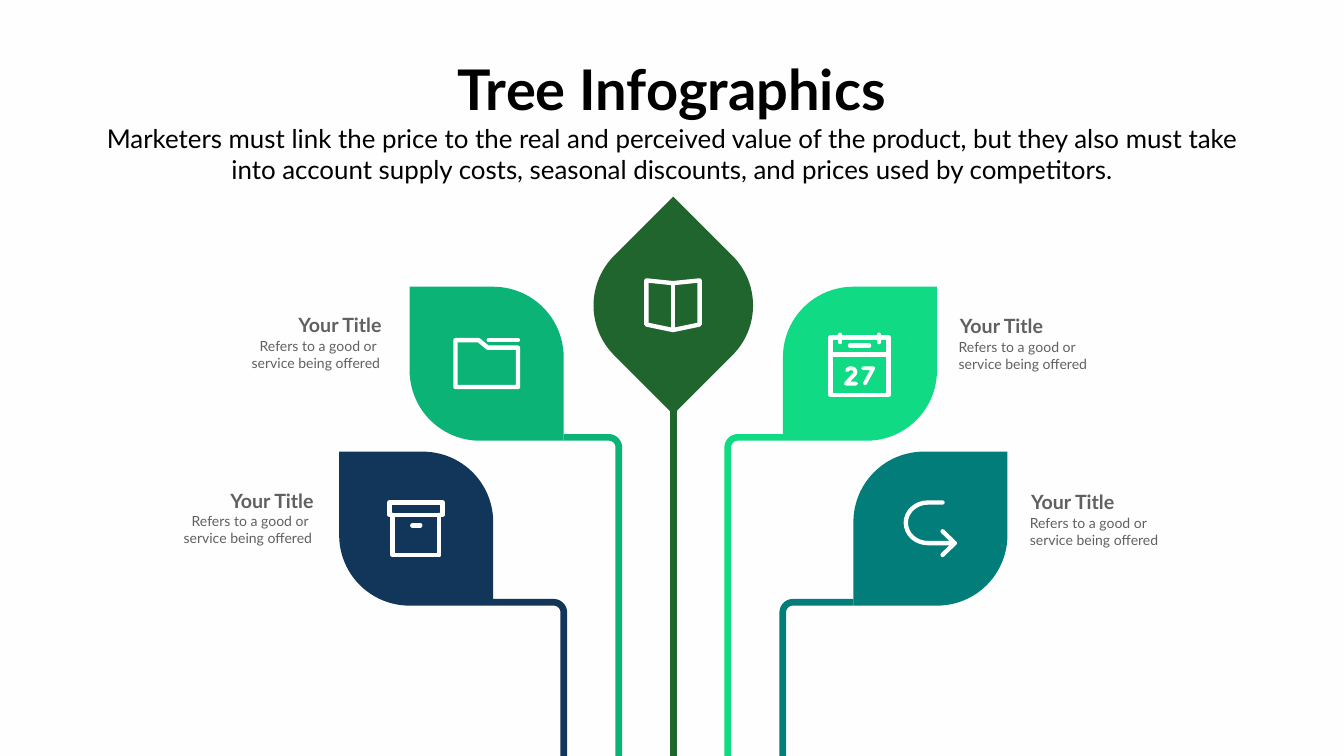
from math import cos, radians, sin

from lxml.etree import SubElement
from pptx import Presentation
from pptx.dml.color import RGBColor
from pptx.enum.shapes import MSO_CONNECTOR as Connector, MSO_SHAPE as Preset
from pptx.enum.text import MSO_ANCHOR as Anchor, MSO_AUTO_SIZE as AutoSize, PP_ALIGN as Align
from pptx.oxml.ns import qn
from pptx.util import Pt

COLORS = {
    "background": "FEFEFF", "black": "000000", "gray": "606060", "white": "FFFFFF",
    "forest": "20642E", "emerald": "0BB377", "mint": "10DA83", "navy": "12365A", "teal": "027D79",
}
FONT = "Lato"
WIDTH, HEIGHT = 1919.52, 1080
AXIS = 961.6
LEAF = 220
LEAF_ROUNDING = 0.457
STEM = 9.5
BEND = 14.4
ICON_LINE = 6.2
DIGIT_LINE = 5.5


def rgb(name):
    """Return the named palette colour."""
    return RGBColor.from_string(COLORS[name])


def arc(x, y, radius_x, radius_y, start, end, steps=16):
    """Return points along an elliptic arc, angles in degrees."""
    angles = [radians(start + (end - start) * step / steps) for step in range(steps + 1)]
    return [(x + radius_x * cos(angle), y + radius_y * sin(angle)) for angle in angles]


ICONS = {
    "folder": [
        ([(65.5, 76.3), (98.6, 76.3), (111.6, 87.1), (154.8, 87.1), (154.8, 143.3),
          (65.5, 143.3)], True, ICON_LINE),
        ([(113, 76.3), (154.8, 76.3)], False, ICON_LINE),
    ],
    "archive": [
        ([(72, 72.7), (147.6, 72.7), (147.6, 90.4), (72, 90.4)], True, ICON_LINE),
        ([(76.3, 90.4), (76.3, 148), (142.9, 148), (142.9, 90.4)], False, ICON_LINE),
        ([(104.4, 105.5), (115.9, 105.5)], False, ICON_LINE),
    ],
    "book": [
        ([(71.6, 74.2), (109.6, 78.1), (147.6, 74.2), (147.6, 137.2), (109.6, 145.1),
          (71.6, 137.2)], True, ICON_LINE),
        ([(109.6, 78.1), (109.6, 145.1)], False, ICON_LINE),
    ],
    "calendar": [
        ([(68, 72.4), (150.8, 72.4), (150.8, 154.4), (68, 154.4)], True, ICON_LINE),
        ([(68, 96.8), (150.8, 96.8)], False, ICON_LINE),
        ([(81.7, 68.5), (81.7, 79.2)], False, ICON_LINE),
        ([(137.2, 68.5), (137.2, 79.2)], False, ICON_LINE),
        ([(95.8, 84.2), (123.1, 84.2)], False, ICON_LINE),
        ([(91.4, 119.4), (94, 117), (97.5, 116.4), (101.5, 117.5), (103.7, 121),
          (102.5, 125), (98, 129.5), (90, 138.4), (104.5, 138.4)], False, DIGIT_LINE),
        ([(114.5, 116.4), (129, 116.4), (117, 138.4)], False, DIGIT_LINE),
    ],
    "return": [
        ([(127.4, 72.7), *arc(106.6, 101.7, 31.7, 29, 270, 90), (144.7, 130.7)],
         False, ICON_LINE),
        ([(127.4, 113.8), (144.7, 130.7), (127.4, 147.6)], False, ICON_LINE),
    ],
}


def add_stroke(slide, points, closed, width, color, rounded=True):
    """Draw an unfilled outline through the points."""
    points = [(Pt(x), Pt(y)) for x, y in points]
    builder = slide.shapes.build_freeform(*points[0])
    builder.add_line_segments(points[1:], close=closed)
    shape = builder.convert_to_shape()
    shape.shadow.inherit = False
    shape.fill.background()
    shape.line.width = Pt(width)
    shape.line.color.rgb = rgb(color)
    if rounded:
        line = shape.element.spPr.find(qn("a:ln"))
        line.set("cap", "rnd")
        SubElement(line, qn("a:round"))


def format_text(shape, lines, size, color, align, bold=False, wrap=True):
    """Fill a text shape with uniformly formatted paragraphs."""
    frame = shape.text_frame
    frame.text = "\n".join(lines)
    for name, value in {"word_wrap": wrap, "auto_size": AutoSize.SHAPE_TO_FIT_TEXT,
                        "vertical_anchor": Anchor.TOP}.items():
        setattr(frame, name, value)
    for paragraph in frame.paragraphs:
        paragraph.alignment = align
        paragraph.font.color.rgb = rgb(color)
        for name, value in {"name": FONT, "size": Pt(size), "bold": bold}.items():
            setattr(paragraph.font, name, value)


def add_text(slide, left, top, width, height, lines, size, color, align, bold=False):
    """Add a text box with formatted text."""
    box = slide.shapes.add_textbox(Pt(left), Pt(top), Pt(width), Pt(height))
    format_text(box, lines, size, color, align, bold)


def add_heading(slide, left, top, width):
    """Place the slide title and the paragraph below it."""
    title = slide.shapes.title
    title_width = 640
    for name, value in {"left": left + (width - title_width) / 2, "top": top,
                        "width": title_width, "height": 104}.items():
        setattr(title, name, Pt(value))
    format_text(title, ["Tree Infographics"], 80, "black", Align.CENTER, True, False)
    add_text(slide, left, top + 98, width, 97,
             ["Marketers must link the price to the real and perceived value of the product, "
              "but they also must take into account supply costs, seasonal discounts, "
              "and prices used by competitors."], 37, "black", Align.CENTER)


def add_leaf(slide, left, top, color, icon, on_left=True, rotation=0):
    """Draw a leaf with its icon, pointing up to its own side."""
    leaf = slide.shapes.add_shape(Preset.ROUND_2_DIAG_RECTANGLE,
                                  Pt(left), Pt(top), Pt(LEAF), Pt(LEAF))
    leaf.adjustments[0] = 0 if on_left else LEAF_ROUNDING
    leaf.adjustments[1] = LEAF_ROUNDING if on_left else 0
    leaf.rotation = rotation
    leaf.shadow.inherit = False
    leaf.fill.solid()
    leaf.fill.fore_color.rgb = rgb(color)
    leaf.line.fill.background()
    for points, closed, width in ICONS[icon]:
        add_stroke(slide, [(left + x, top + y) for x, y in points], closed, width, "white")


def add_trunk(slide, x, top, color):
    """Draw the straight middle stem down to the slide's foot."""
    trunk = slide.shapes.add_connector(Connector.STRAIGHT, Pt(x), Pt(top), Pt(x), Pt(HEIGHT))
    trunk.line.width = Pt(STEM)
    trunk.line.color.rgb = rgb(color)
    SubElement(trunk.element.spPr, qn("a:effectLst"))


def add_branch(slide, distance, top, reach, color, icon, on_left, label_gap, label_top):
    """Place a leaf at a distance from the axis, with its stem and label."""
    side = -1 if on_left else 1
    inner = AXIS + side * distance
    outer = inner + side * LEAF
    add_leaf(slide, min(inner, outer), top, color, icon, on_left)

    foot = inner - side * reach
    tip = top + LEAF - STEM / 2
    bend = arc(foot + side * BEND, tip + BEND, -side * BEND, BEND, 270, 360)
    add_stroke(slide, [(inner, tip), *bend, (foot, HEIGHT)], False, STEM, color, False)

    align = Align.RIGHT if on_left else Align.LEFT
    first_line = "Refers to a good or " if on_left else "Refers to a good or"
    rows = [(label_gap, 0, 138, 41, ["Your Title"], 28, True),
            (label_gap - 2 * side * (1 if not on_left else -1) + (4 if on_left else 0), 35,
             204, 55.4, [first_line, "service being offered"], 20, False)]
    for gap, offset, width, height, lines, size, bold in rows:
        edge = outer + side * gap
        add_text(slide, edge - width if on_left else edge, top + label_top + offset,
                 width, height, lines, size, "gray", align, bold)


def main():
    """Build the tree slide and save it."""
    presentation = Presentation()
    presentation.slide_width, presentation.slide_height = Pt(WIDTH), Pt(HEIGHT)
    slide = presentation.slides.add_slide(presentation.slide_layouts[5])
    slide.background.fill.solid()
    slide.background.fill.fore_color.rgb = rgb("background")

    add_heading(slide, 132.5, 74.2, 1654.5)
    add_trunk(slide, AXIS, 572.4, "forest")
    add_leaf(slide, AXIS - LEAF / 2, 326.4, "forest", "book", rotation=45)
    for branch in [
        (156.6, 409.6, 78.8, "emerald", "folder", True, 33, 34.6),
        (156.6, 409.6, 78.8, "mint", "calendar", False, 25.8, 35.3),
        (257.2, 645.2, 100.8, "navy", "archive", True, 29.6, 49),
        (257.2, 645.2, 100.8, "teal", "return", False, 26.9, 51.8),
    ]:
        add_branch(slide, *branch)
    presentation.save("out.pptx")


if __name__ == "__main__":
    main()
